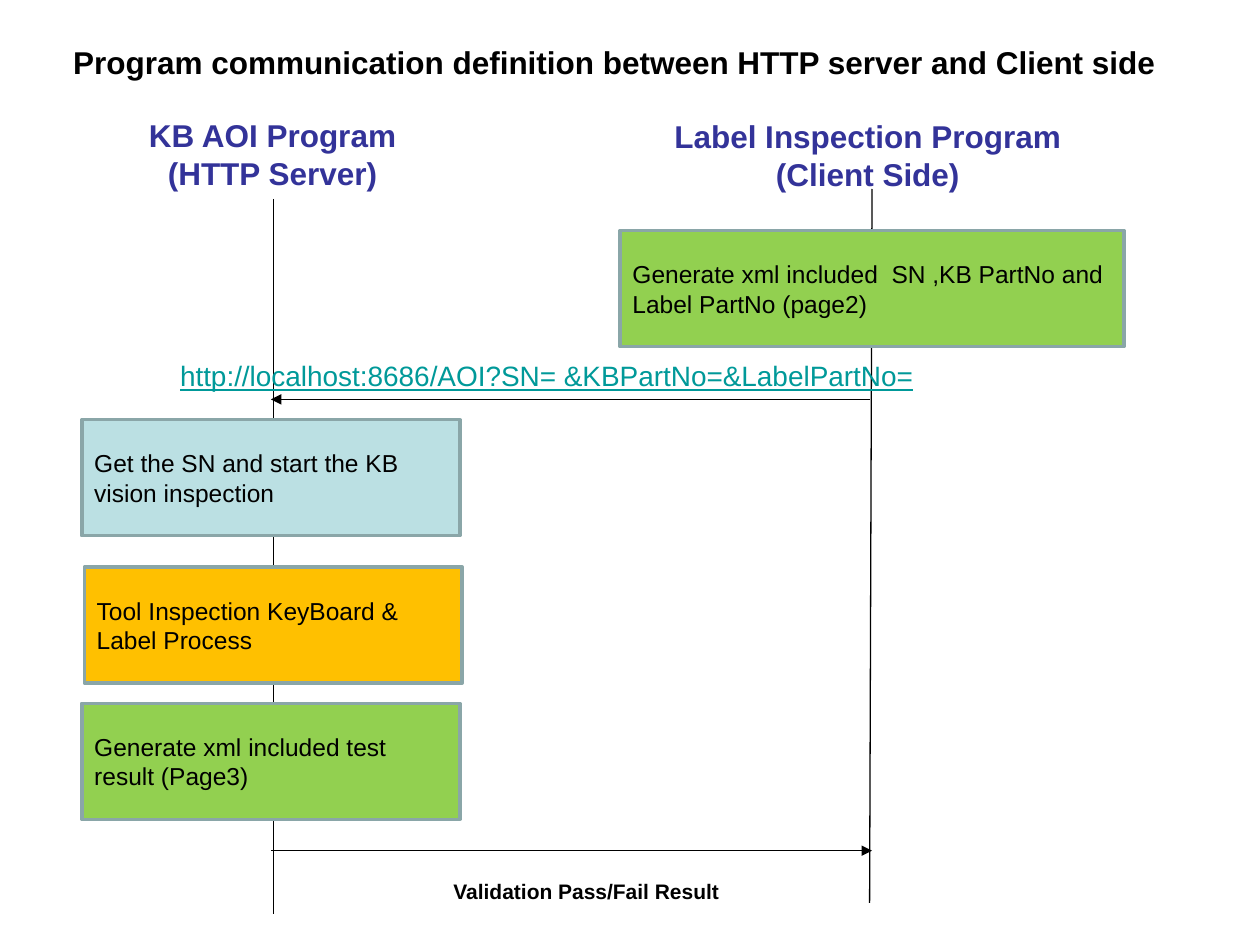
"""Build the slide on messages between the HTTP server and the client side."""
from dataclasses import dataclass

import pptx
import pptx.dml.color
import pptx.enum.shapes
import pptx.enum.text
import pptx.oxml
import pptx.oxml.ns
import pptx.util
from pptx.util import Cm

LEFT = pptx.enum.text.PP_ALIGN.LEFT
CENTER = pptx.enum.text.PP_ALIGN.CENTER
MIDDLE = pptx.enum.text.MSO_ANCHOR.MIDDLE
BLACK = "000000"
STEP_HEIGHT = 2.34


@dataclass(frozen=True)
class Label:
    lines: tuple[str, ...]
    left: float
    top: float
    width: float
    height: float
    size: int
    color: str = BLACK
    bold: bool = False
    underline: bool = False
    align: int = LEFT


@dataclass(frozen=True)
class Line:
    start: tuple[float, float]
    end: tuple[float, float]
    arrow: bool = False


@dataclass(frozen=True)
class Step:
    text: str
    left: float
    top: float
    width: float
    fill: str


TITLE = Label(("Program communication definition between HTTP server and Client side",),
              1.22, 0.74, 22.35, 1.02, 18, bold=True)

LABELS = (
    Label(("KB AOI Program", "(HTTP Server)"), 2.74, 2.21, 5.51, 1.78, 18,
          "333399", bold=True, align=CENTER),
    Label(("Label Inspection Program", "(Client Side)"), 13.34, 2.24, 8.31, 1.78, 18,
          "333399", bold=True, align=CENTER),
    Label(("http://localhost:8686/AOI?SN= &KBPartNo=&LabelPartNo=",),
          3.38, 7.11, 15.47, 0.94, 16, "009999", underline=True),
    Label(("Validation Pass/Fail Result",), 8.89, 17.58, 5.94, 0.76, 12, bold=True),
)

LINES = (
    Line((5.51, 4.01), (5.51, 18.42)),
    Line((17.58, 3.81), (17.53, 18.2)),
    Line((17.53, 8.05), (5.46, 8.05), arrow=True),
    Line((5.46, 17.15), (17.58, 17.15), arrow=True),
)

STEPS = (
    Step("Get the SN and start the KB vision inspection", 1.65, 8.46, 7.62, "BBE0E3"),
    Step("Generate xml included  SN ,KB PartNo and Label PartNo (page2)",
         12.5, 4.65, 10.16, "92D050"),
    Step("Generate xml included test result (Page3)", 1.65, 14.18, 7.62, "92D050"),
    Step("Tool Inspection KeyBoard & Label Process", 1.7, 11.43, 7.62, "FFC000"),
)


def rgb(value: str) -> pptx.dml.color.RGBColor:
    """Return the colour for a hex string."""
    return pptx.dml.color.RGBColor.from_string(value)


def add_run(paragraph, text: str, size: int, color: str = BLACK,
            bold: bool = False, underline: bool = False) -> None:
    """Append one formatted run to a paragraph."""
    run = paragraph.add_run()
    run.text = text
    run.font.name = "Arial"
    run.font.size = pptx.util.Pt(size)
    run.font.bold = bold
    run.font.underline = underline
    run.font.color.rgb = rgb(color)


def write_label(holder, label: Label) -> None:
    """Place a text holder and fill it with the lines of a label."""
    holder.left, holder.top = Cm(label.left), Cm(label.top)
    holder.width, holder.height = Cm(label.width), Cm(label.height)
    frame = holder.text_frame
    frame.word_wrap = False
    frame.auto_size = pptx.enum.text.MSO_AUTO_SIZE.NONE
    for index, text in enumerate(label.lines):
        paragraph = frame.add_paragraph() if index else frame.paragraphs[0]
        paragraph.alignment = label.align
        add_run(paragraph, text, label.size, label.color, label.bold, label.underline)


def draw_line(slide, line: Line) -> None:
    """Draw a lifeline or a message arrow."""
    connector = slide.shapes.add_connector(
        pptx.enum.shapes.MSO_CONNECTOR.STRAIGHT, *map(Cm, line.start + line.end))
    connector.line.color.rgb = rgb(BLACK)
    connector.line.width = pptx.util.Pt(0.75)
    if line.arrow:
        tail = pptx.oxml.ns.qn("a:tailEnd")
        connector.line._get_or_add_ln().append(
            pptx.oxml.parse_xml(f'<a:tailEnd {pptx.oxml.ns.nsdecls("a")} type="triangle"/>')
            if tail else None)
    connector._element.spPr.append(
        pptx.oxml.parse_xml(f'<a:effectLst {pptx.oxml.ns.nsdecls("a")}/>'))


def draw_step(slide, step: Step) -> None:
    """Draw one processing step as a filled rectangle."""
    box = slide.shapes.add_shape(
        pptx.enum.shapes.MSO_SHAPE.RECTANGLE,
        *map(Cm, (step.left, step.top, step.width, STEP_HEIGHT)))
    box.shadow.inherit = False
    box.fill.solid()
    box.fill.fore_color.rgb = rgb(step.fill)
    box.line.color.rgb = rgb("8AA6A8")
    box.line.width = pptx.util.Pt(2)
    box.text_frame.word_wrap = True
    box.text_frame.vertical_anchor = MIDDLE
    paragraph = box.text_frame.paragraphs[0]
    paragraph.alignment = LEFT
    add_run(paragraph, step.text, 14)


def main() -> None:
    """Build and save the presentation."""
    deck = pptx.Presentation()
    deck.slide_width, deck.slide_height = Cm(25.4), Cm(19.05)
    slide = deck.slides.add_slide(deck.slide_layouts.get_by_name("Title Only"))
    write_label(slide.shapes.title, TITLE)
    for line in LINES:
        draw_line(slide, line)
    for label in LABELS:
        write_label(slide.shapes.add_textbox(0, 0, 0, 0), label)
    for step in STEPS:
        draw_step(slide, step)
    deck.save("out.pptx")


if __name__ == "__main__":
    main()
